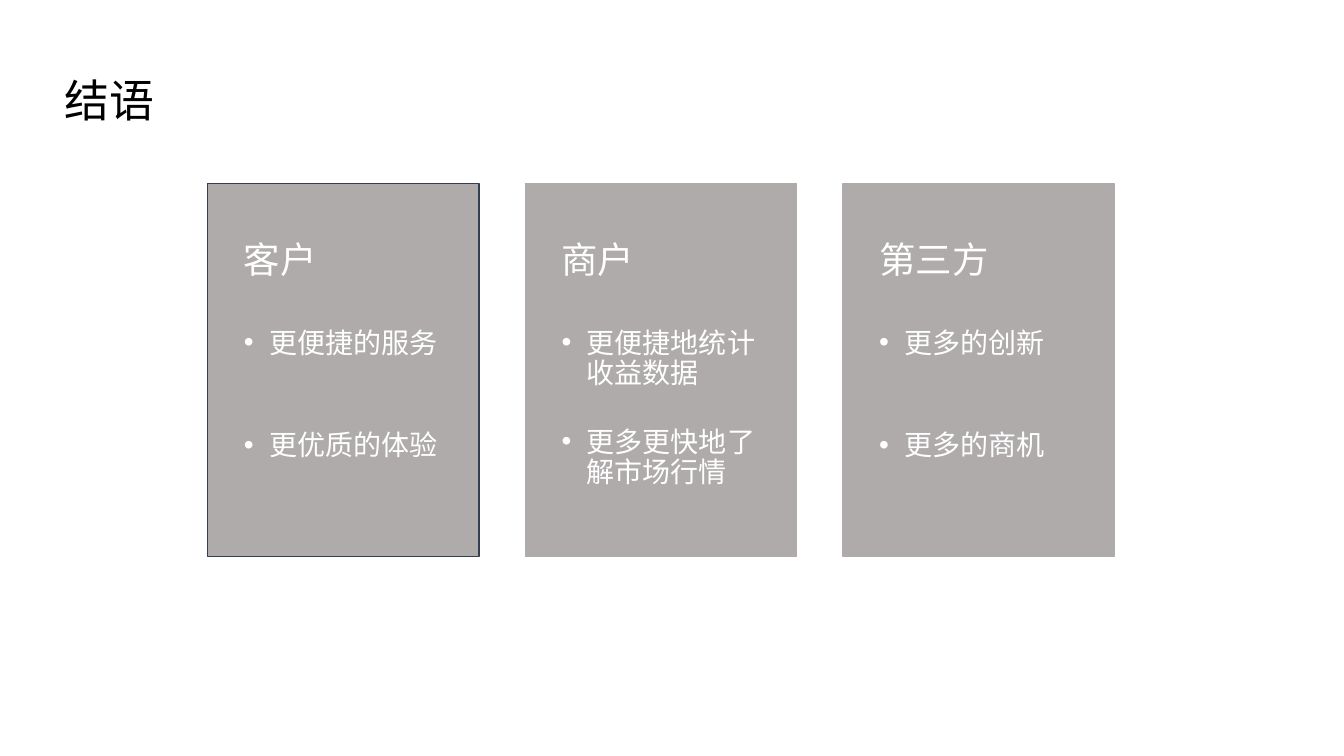
from lxml import etree
from pptx import Presentation
from pptx.dml.color import RGBColor
from pptx.enum import shapes, text
from pptx.oxml import ns
from pptx import util as u

COLORS = {"ink": "000000", "white": "FFFFFF", "card": "AFABAB", "edge": "333F50"}
FONT = "Noto Sans CJK SC"
CARD_LEFT, CARD_TOP, CARD_W, CARD_H, CARD_STEP = 2.06, 1.82, 2.69, 3.7, 3.15
CARDS = [
    ("客户", ["更便捷的服务", "更优质的体验"], "edge", 52),
    ("商户", ["更便捷地统计收益数据", "更多更快地了解市场行情"], "card", 28),
    ("第三方", ["更多的创新", "更多的商机"], "card", 52),
]


def rgb(name):
    """Return the named colour."""
    return RGBColor.from_string(COLORS[name])


def add_bullet(p, indent=0.25):
    """Give a paragraph a hanging bullet."""
    pPr = p._p.get_or_add_pPr()
    pPr.set("marL", str(u.Inches(indent)))
    pPr.set("indent", str(-u.Inches(indent)))
    etree.SubElement(pPr, ns.qn("a:buFont")).set("typeface", "Arial")
    etree.SubElement(pPr, ns.qn("a:buChar")).set("char", "•")


def write(p, words, size, color, line, before=0, bullet=False):
    """Fill a paragraph with formatted text."""
    if bullet:
        add_bullet(p)
    p.alignment = text.PP_ALIGN.LEFT
    p.line_spacing = u.Pt(line)
    p.space_before = u.Pt(before)
    p.space_after = u.Pt(0)
    r = p.add_run()
    r.text = words
    r.font.size = u.Pt(size)
    r.font.name = FONT
    r.font.color.rgb = rgb(color)
    ea = etree.SubElement(r._r.get_or_add_rPr(), ns.qn("a:ea"))
    ea.set("typeface", FONT)


def set_frame(tf, left, top, right, bottom):
    """Set wrapping, top anchoring and insets in inches."""
    tf.word_wrap = True
    tf.auto_size = text.MSO_AUTO_SIZE.NONE
    tf.vertical_anchor = text.MSO_ANCHOR.TOP
    tf.margin_left, tf.margin_top = u.Inches(left), u.Inches(top)
    tf.margin_right, tf.margin_bottom = u.Inches(right), u.Inches(bottom)


def set_title(s, words):
    """Place and format the slide title."""
    sp = s.shapes.title
    sp.left, sp.top = u.Inches(0.54), u.Inches(0.68)
    sp.width, sp.height = u.Inches(6.37), u.Inches(0.43)
    set_frame(sp.text_frame, 0.1, 0.09, 0.1, 0)
    write(sp.text_frame.paragraphs[0], words, 32, "ink", 35)


def add_card(s, column, heading, points, edge, gap):
    """Draw one card with its heading and bullet points."""
    sp = s.shapes.add_shape(
        shapes.MSO_SHAPE.RECTANGLE,
        u.Inches(CARD_LEFT + column * CARD_STEP), u.Inches(CARD_TOP),
        u.Inches(CARD_W), u.Inches(CARD_H))
    sp.shadow.inherit = False
    sp.fill.solid()
    sp.fill.fore_color.rgb = rgb("card")
    sp.line.color.rgb = rgb(edge)
    sp.line.width = u.Pt(1)
    tf = sp.text_frame
    set_frame(tf, 0.36, 0.58, 0.36, 0.36)
    write(tf.paragraphs[0], heading, 26, "white", 28)
    for i, point in enumerate(points):
        write(tf.add_paragraph(), point, 20, "white", 21.4,
              before=gap if i else 34, bullet=True)


def main():
    """Build and save the slide."""
    prs = Presentation()
    prs.slide_width, prs.slide_height = u.Inches(13.33), u.Inches(7.5)
    s = prs.slides.add_slide(prs.slide_layouts[5])
    set_title(s, "结语")
    for column, card in enumerate(CARDS):
        add_card(s, column, *card)
    prs.save("out.pptx")


if __name__ == "__main__":
    main()
